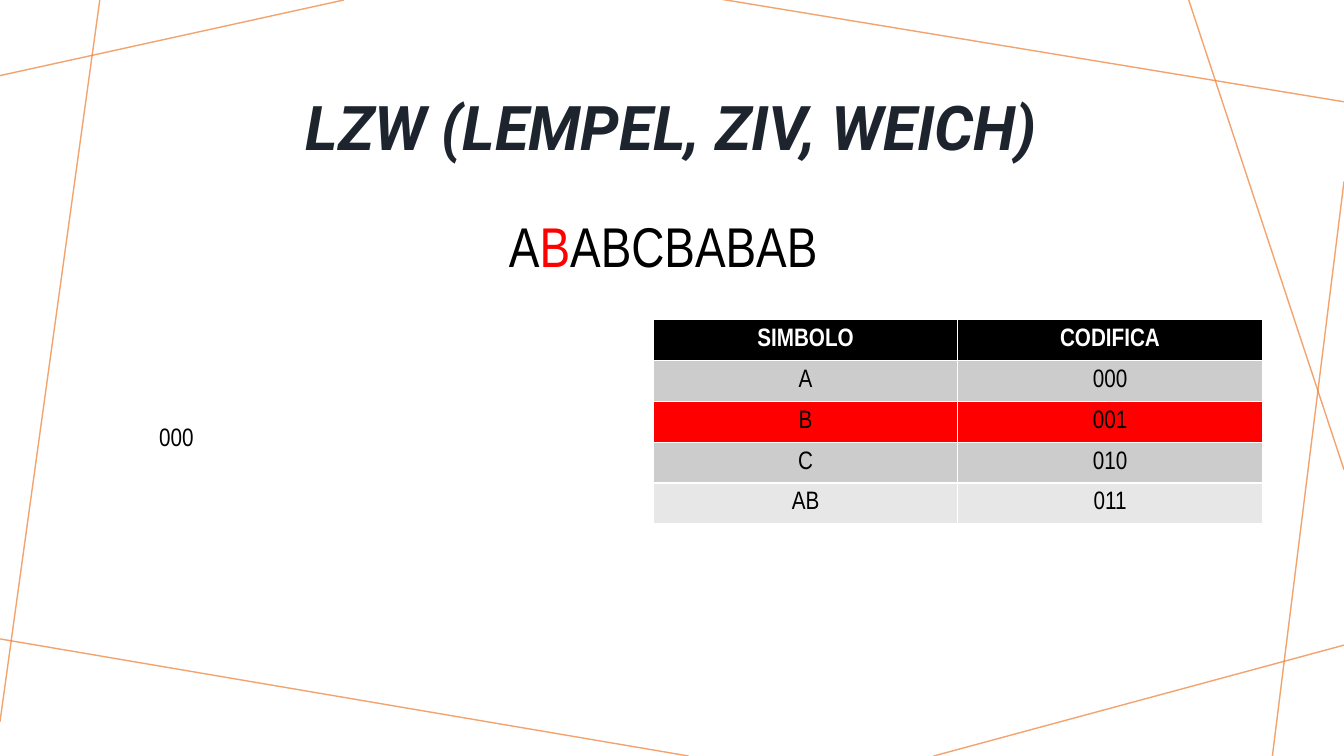
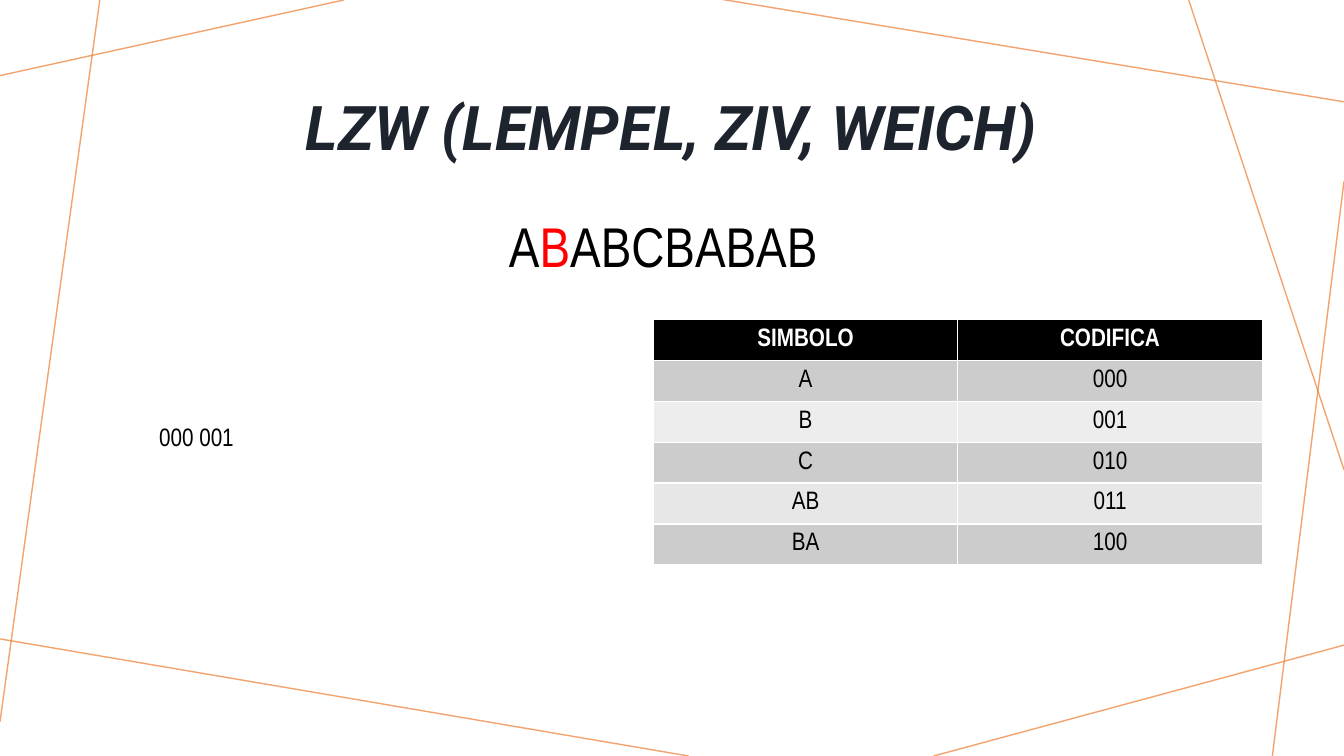
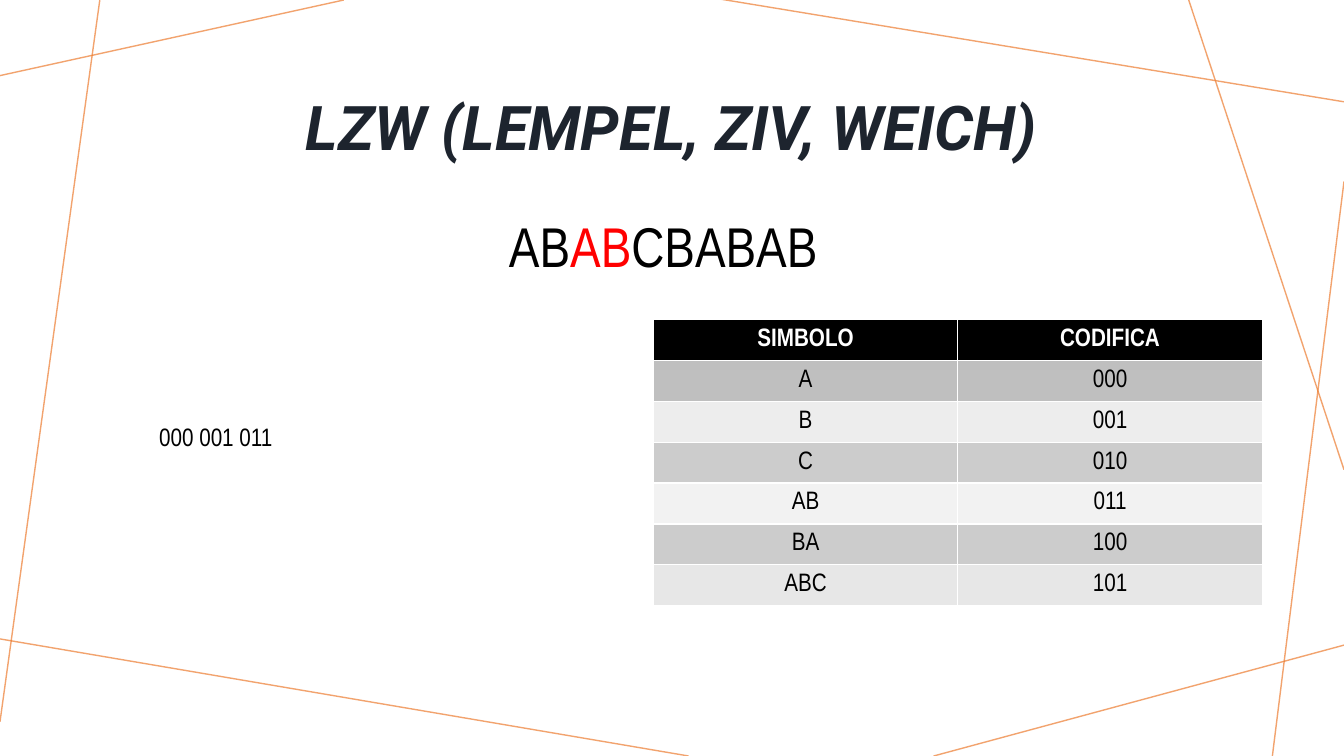
"""Build three LZW coding steps, each with a message, its output and its table."""
from lxml import etree
from pptx import Presentation
from pptx.dml.color import RGBColor
from pptx.enum.shapes import MSO_CONNECTOR
from pptx.enum.text import MSO_ANCHOR, MSO_AUTO_SIZE, PP_ALIGN
from pptx.oxml.ns import qn
from pptx.util import Inches, Pt

STRAIGHT = MSO_CONNECTOR.STRAIGHT
MIDDLE = MSO_ANCHOR.MIDDLE
GROW = MSO_AUTO_SIZE.SHAPE_TO_FIT_TEXT
CENTER = PP_ALIGN.CENTER

NAVY = RGBColor(0x1D, 0x24, 0x2E)
ORANGE = RGBColor(0xED, 0x7D, 0x31)
BLACK = RGBColor(0x00, 0x00, 0x00)
WHITE = RGBColor(0xFF, 0xFF, 0xFF)
RED = RGBColor(0xFF, 0x00, 0x00)
DARK = RGBColor(0xBF, 0xBF, 0xBF)
GRAY = RGBColor(0xCC, 0xCC, 0xCC)
LIGHT = RGBColor(0xE7, 0xE7, 0xE7)
PALE = RGBColor(0xED, 0xED, 0xED)
FAINT = RGBColor(0xF2, 0xF2, 0xF2)

HEAD_FONT = "Roboto"
BODY_FONT = "Arial Narrow"
TITLE = "LZW (LEMPEL, ZIV, WEICH)"
HEADS = ("SIMBOLO", "CODIFICA")
SYMBOLS = ("A", "B", "C", "AB", "BA", "ABC")
COL_W = 3.02
ROW_H = 2.84 / 7

RAYS = (
    (3.41, 0, 0, 0.75),
    (0.99, 0, 0, 7.16),
    (6.83, 7.5, -0.05, 6.33),
    (13.33, 6.4, 9.26, 7.5),
    (13.33, 1.8, 12.62, 7.5),
    (13.33, 4.66, 11.79, 0),
    (13.33, 1.01, 7.14, -0.01),
)

STEPS = (
    (("A", "B", "ABCBABAB"), "000", (GRAY, RED, GRAY, LIGHT)),
    (("A", "B", "ABCBABAB"), "000 001", (GRAY, PALE, GRAY, LIGHT, GRAY)),
    (("AB", "AB", "CBABAB"), "000 001 011",
     (DARK, PALE, GRAY, FAINT, GRAY, LIGHT)),
)


def style(font, size, color, name=BODY_FONT, bold=False):
    """Set the look of a font."""
    font.name = name
    font.size = Pt(size)
    font.bold = bold
    font.color.rgb = color


def add_ray(slide, ends):
    """Draw one thin translucent line and return it."""
    ray = slide.shapes.add_connector(STRAIGHT, *map(Inches, ends))
    ray.line.color.rgb = ORANGE
    ray.line.width = Pt(1)
    props = ray.element.spPr
    color = next(props.iter(qn("a:srgbClr")))
    etree.SubElement(color, qn("a:alpha")).set("val", "70000")
    etree.SubElement(props, qn("a:effectLst"))
    return ray


def add_frame(slide):
    """Put the crossing lines on the layout that all slides share."""
    tree = slide.slide_layout.shapes.element
    for ends in RAYS:
        tree.append(add_ray(slide, ends).element)


def add_title(slide):
    """Place and format the title."""
    title = slide.shapes.title
    title.left, title.top = Inches(1.25), Inches(0.54)
    title.width, title.height = Inches(10.83), Inches(1.51)
    frame = title.text_frame
    frame.text = TITLE
    frame.vertical_anchor = MIDDLE
    para = frame.paragraphs[0]
    para.alignment = CENTER
    para.line_spacing = 0.9
    font = para.runs[0].font
    style(font, 44, NAVY, HEAD_FONT, True)
    font.italic = True


def add_text(slide, box, parts, size):
    """Add a line of text made of coloured parts."""
    frame = slide.shapes.add_textbox(*map(Inches, box)).text_frame
    frame.word_wrap = True
    frame.auto_size = GROW
    for text, color in parts:
        run = frame.paragraphs[0].add_run()
        run.text = text
        style(run.font, size, color)


def fill_cell(cell, text, fill, color, bold):
    """Write one centred table cell."""
    cell.fill.solid()
    cell.fill.fore_color.rgb = fill
    cell.vertical_anchor = MIDDLE
    cell.text = text
    para = cell.text_frame.paragraphs[0]
    para.alignment = CENTER
    style(para.runs[0].font, 18, color, bold=bold)


def add_codes(slide, fills):
    """Add the table of symbols, numbered in three-bit binary."""
    rows = [(HEADS, BLACK, WHITE, True)]
    for code, (symbol, fill) in enumerate(zip(SYMBOLS, fills)):
        rows.append(((symbol, f"{code:03b}"), fill, BLACK, False))
    count = len(rows)
    box = (6.48, 3.17, 2 * COL_W, ROW_H * count)
    table = slide.shapes.add_table(count, 2, *map(Inches, box)).table
    for row, (texts, *look) in zip(table.rows, rows):
        for cell, text in zip(row.cells, texts):
            fill_cell(cell, text, *look)


def main():
    """Build and save the deck."""
    deck = Presentation()
    deck.slide_width, deck.slide_height = Inches(13.33), Inches(7.5)
    layout = deck.slide_layouts[5]
    for message, output, fills in STEPS:
        slide = deck.slides.add_slide(layout)
        add_title(slide)
        parts = zip(message, (BLACK, RED, BLACK))
        add_text(slide, (4.95, 2.05, 3.44, 0.77), parts, 40)
        add_codes(slide, fills)
        add_text(slide, (1.48, 4.13, 5, 0.4), [(output, BLACK)], 18)
    add_frame(deck.slides[0])
    deck.save("out.pptx")


if __name__ == "__main__":
    main()
